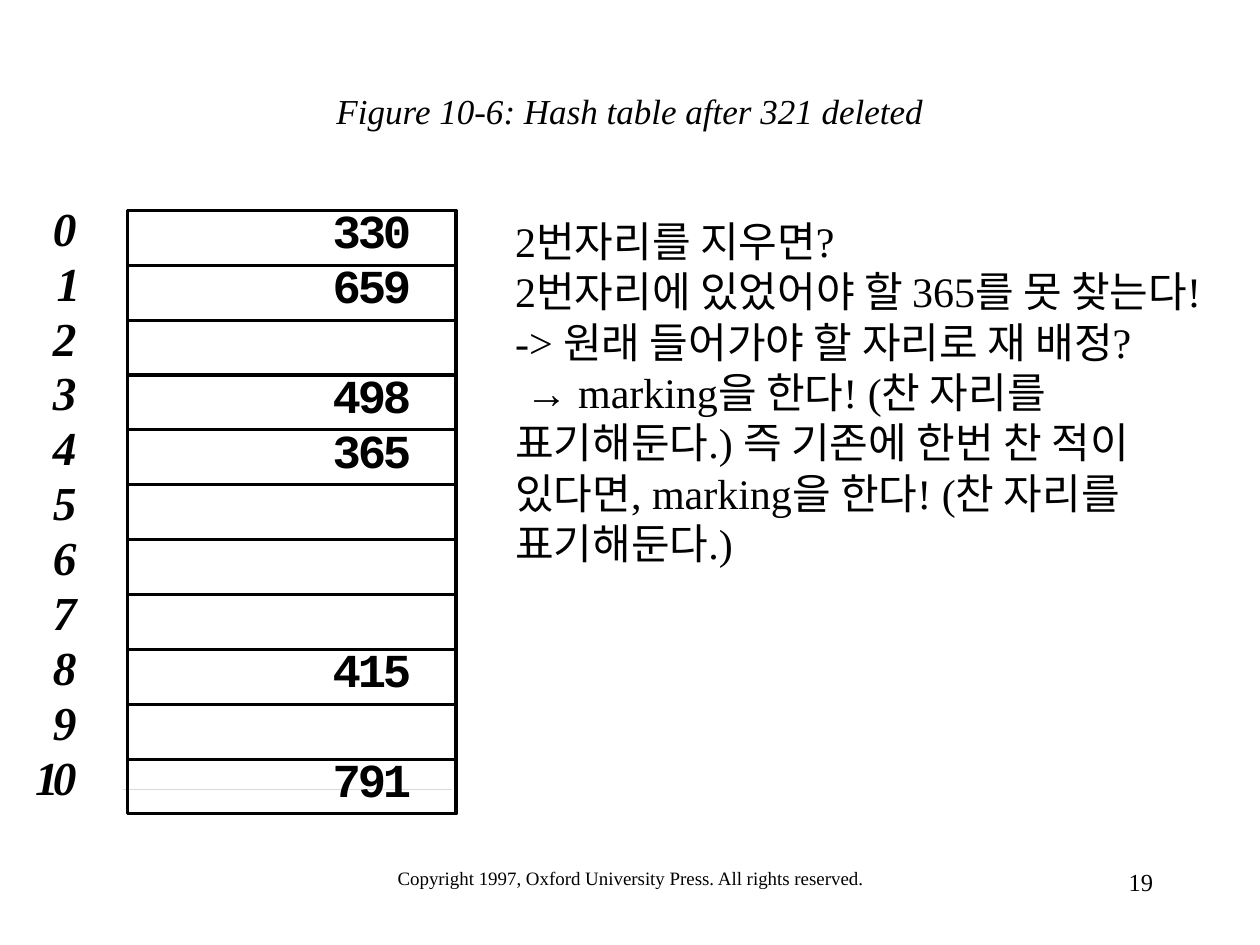
from lxml import etree
from pptx import Presentation
from pptx import util as u
from pptx.dml.color import RGBColor
from pptx.enum import shapes, text
from pptx.oxml.ns import qn

COLORS = {"ink": "000000", "hairline": "D9D9D9"}
SERIF, MONO, SANS = "Times New Roman", "Courier New", "Arial"
TABLE_LEFT, TABLE_TOP, TABLE_WIDTH, TABLE_HEIGHT = 1.01, 1.67, 2.61, 4.79
SLOTS = 11
PITCH = TABLE_HEIGHT / SLOTS
KEYS = {0: "330", 1: "659", 3: "498", 4: "365", 8: "415", 10: "791"}
LABEL_LEFTS = {1: 0.45, 10: 0.28}
NOTES = [
    ["2번자리를 지우면?\n2번자리에 있었어야 할 365를 못 찾는다!"],
    ["-> 원래 들어가야 할 자리로 재 배정?"],
    [
        " ",
        ("→", SANS),
        " marking을 한다! (찬 자리를 표기해둔다.) 즉 기존에 한번 찬 적이 있다면, "
        "marking을 한다! (찬 자리를 표기해둔다.)",
    ],
]


def add_span(para, words, size=24, font=SERIF, bold=False, italic=False, spacing=0):
    span = para.add_run()
    span.text = words
    span.font.size = u.Pt(size)
    span.font.name = font
    span.font.bold = bold
    span.font.italic = italic
    span.font.color.rgb = RGBColor.from_string(COLORS["ink"])
    if spacing:
        span.font._element.set("spc", str(int(spacing * 100)))


class HashTableSlide:
    """Holds the line style and the slide, and adds each kind of element."""

    def __init__(self, deck, line_width=1.75):
        self.page = deck.slides.add_slide(deck.slide_layouts[5])
        self.line_width = line_width

    def title(self, words, left, top, width, height, **style):
        box = self.page.shapes.title
        box.left, box.top = u.Inches(left), u.Inches(top)
        box.width, box.height = u.Inches(width), u.Inches(height)
        box.text_frame.vertical_anchor = text.MSO_ANCHOR.MIDDLE
        para = box.text_frame.paragraphs[0]
        para.alignment = text.PP_ALIGN.CENTER
        add_span(para, words, **style)

    def frame(self, left, top, width, height, wrap=True):
        box = self.page.shapes.add_textbox(
            u.Inches(left), u.Inches(top), u.Inches(width), u.Inches(height)
        )
        frame = box.text_frame
        frame.word_wrap = wrap
        if not wrap:
            frame.margin_left = frame.margin_right = 0
            frame.margin_top = frame.margin_bottom = 0
        return frame

    def label(self, words, left, top, width, height, wrap=True, align="LEFT", **style):
        para = self.frame(left, top, width, height, wrap).paragraphs[0]
        para.alignment = text.PP_ALIGN[align]
        add_span(para, words, **style)

    def notes(self, paragraphs, left, top, width, height):
        frame = self.frame(left, top, width, height)
        for number, pieces in enumerate(paragraphs):
            para = frame.add_paragraph() if number else frame.paragraphs[0]
            for piece in pieces:
                words, font = (piece, SERIF) if isinstance(piece, str) else piece
                for row, part in enumerate(words.split("\n")):
                    if row:
                        para.add_line_break()
                    add_span(para, part, font=font)

    def outline(self, left, top, width, height):
        box = self.page.shapes.add_shape(
            shapes.MSO_SHAPE.RECTANGLE,
            u.Inches(left), u.Inches(top), u.Inches(width), u.Inches(height),
        )
        box.shadow.inherit = False
        box.fill.background()
        box.line.color.rgb = RGBColor.from_string(COLORS["ink"])
        box.line.width = u.Pt(self.line_width)

    def rule(self, left, top, width, color="ink", weight=None):
        line = self.page.shapes.add_connector(
            shapes.MSO_CONNECTOR.STRAIGHT,
            u.Inches(left), u.Inches(top), u.Inches(left + width), u.Inches(top),
        )
        line.line.color.rgb = RGBColor.from_string(COLORS[color])
        line.line.width = u.Pt(weight or self.line_width)
        etree.SubElement(line._element.spPr, qn("a:effectLst"))


def main():
    deck = Presentation()
    deck.slide_width, deck.slide_height = u.Inches(10), u.Inches(7.5)
    slide = HashTableSlide(deck)
    slide.title("Figure 10-6: Hash table after 321 deleted",
                0.75, 0.25, 8.5, 1.25, size=20, italic=True)
    slide.label("Copyright 1997, Oxford University Press. All rights reserved.",
                2.92, 6.83, 4.17, 0.5, align="CENTER", size=10.8)
    slide.label("19", 7.17, 6.83, 2.08, 0.5, align="RIGHT", size=14)

    slide.rule(0.98, 6.26, TABLE_WIDTH, color="hairline", weight=0.25)
    slide.outline(TABLE_LEFT, TABLE_TOP, TABLE_WIDTH, TABLE_HEIGHT)
    for slot in range(SLOTS):
        offset = slot * PITCH
        if slot:
            slide.rule(TABLE_LEFT, TABLE_TOP + offset, TABLE_WIDTH)
        slide.label(str(slot), LABEL_LEFTS.get(slot, 0.42), 1.58 + offset, 0.36, 0.45,
                    wrap=False, size=27, bold=True, italic=True,
                    spacing=-3.4 if slot > 9 else 0)
        if slot in KEYS:
            slide.label(KEYS[slot], 2.64, 1.6 + offset, 0.63, 0.45,
                        wrap=False, size=27, font=MONO, bold=True, spacing=-1.8)

    slide.notes(NOTES, 3.99, 1.66, 5.64, 3.3)
    deck.save("out.pptx")


if __name__ == "__main__":
    main()
